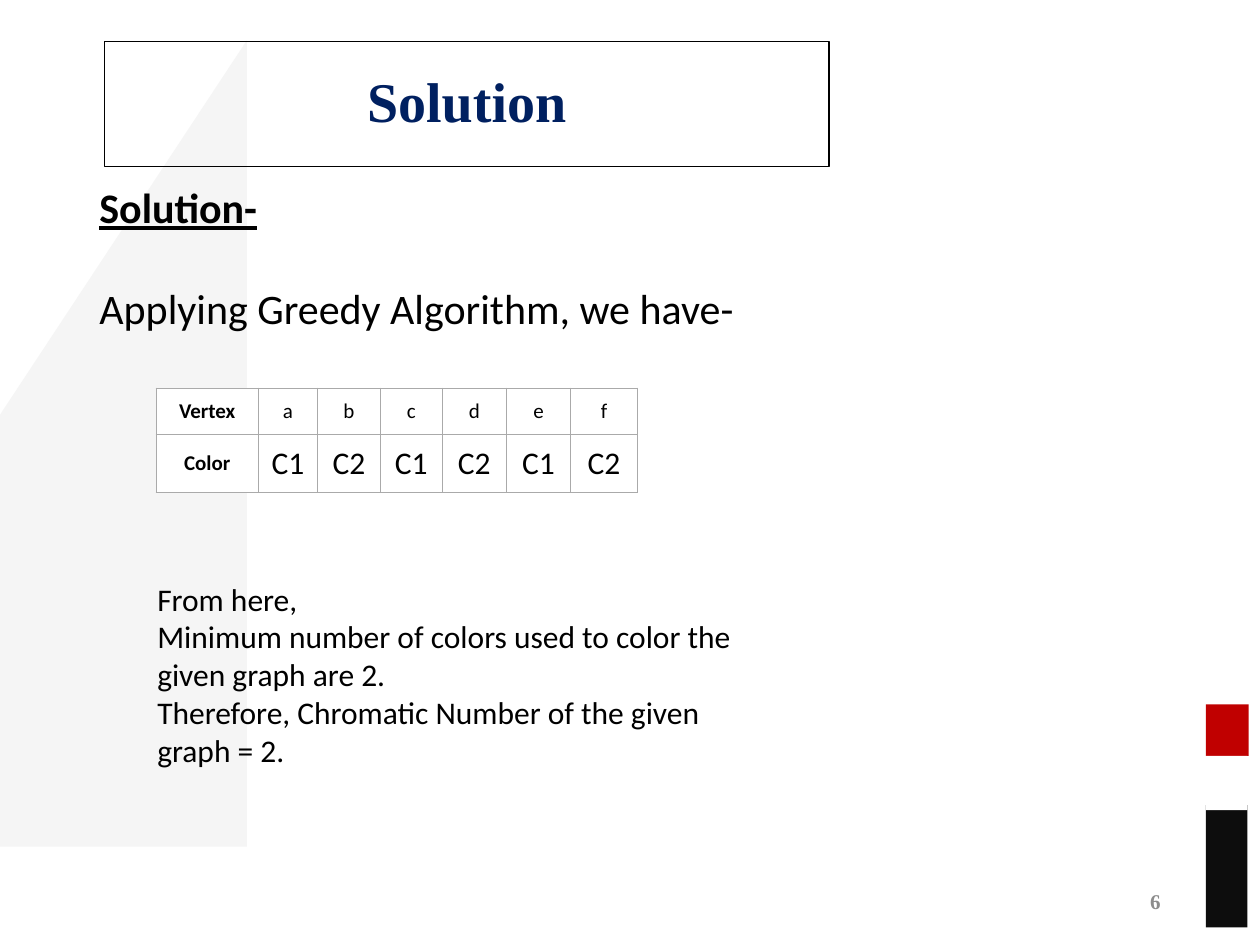
from lxml import etree
from pptx import Presentation
from pptx.dml.color import RGBColor
from pptx.enum import shapes, text
from pptx.oxml import ns
from pptx.util import Inches, Pt

SERIF = "Times New Roman"
SANS = "Calibri"
VERTEX_COLORS = [
    ["Vertex", "a", "b", "c", "d", "e", "f"],
    ["Color", "C1", "C2", "C1", "C2", "C1", "C2"],
]
COLUMN_WIDTHS = [0.81, 0.47, 0.5, 0.49, 0.51, 0.51, 0.53]
ROW_HEIGHTS = [0.37, 0.46]


def color(value):
    return RGBColor.from_string(value)


def box(left, top, width, height):
    return [Inches(length) for length in (left, top, width, height)]


def child(parent, tag, **attributes):
    return etree.SubElement(parent, ns.qn(tag), attributes)


def style(paragraph, size, name=SANS, hue="000000", bold=False, align=None):
    font = paragraph.font
    font.size, font.name, font.bold = Pt(size), name, bold
    font.color.rgb = color(hue)
    paragraph.alignment = align


def add_block(slide, preset, place, hue):
    block = slide.shapes.add_shape(preset, *box(*place))
    block.shadow.inherit = False
    block.fill.solid()
    block.fill.fore_color.rgb = color(hue)
    block.line.fill.background()
    return block


def add_backdrop(slide):
    triangle = add_block(slide, shapes.MSO_SHAPE.RIGHT_TRIANGLE,
                         (-2.26, 0.32, 4.22, 6.4), "D9D9D9")
    properties = triangle.element.spPr
    properties.find(ns.qn("a:xfrm")).set("flipH", "1")
    child(properties.find(".//" + ns.qn("a:srgbClr")), "a:alpha", val="26000")
    for place, hue in [
        ((9.57, 5.59, 0.34, 0.41), "C00000"),
        ((9.57, 6.39, 0.33, 0.97), "0D0D0D"),
        ((9.57, 6, 0.33, 0.43), "FFFFFF"),
    ]:
        add_block(slide, shapes.MSO_SHAPE.RECTANGLE, place, hue)


def set_title(slide, words):
    title = slide.shapes.title
    slide.shapes.element.append(title.element)
    title.left, title.top, title.width, title.height = box(0.83, 0.33, 5.75, 0.99)
    title.line.color.rgb = color("000000")
    title.line.width = Pt(0.75)
    frame = title.text_frame
    frame.text = words
    frame.vertical_anchor = text.MSO_ANCHOR.MIDDLE
    heading = frame.paragraphs[0]
    heading.line_spacing = 0.9
    style(heading, 32, SERIF, "002060", True, text.PP_ALIGN.CENTER)


def add_text(slide, place, lines, size, wrap=True, **look):
    frame = slide.shapes.add_textbox(*box(*place)).text_frame
    frame.word_wrap = wrap
    frame.text = "\n".join(lines)
    for paragraph in frame.paragraphs:
        style(paragraph, size, **look)
    return frame


def set_borders(cell, hue, width):
    properties = cell._tc.get_or_add_tcPr()
    for position, side in enumerate(("a:lnL", "a:lnR", "a:lnT", "a:lnB")):
        border = etree.Element(ns.qn(side), w=str(Pt(width)))
        child(child(border, "a:solidFill"), "a:srgbClr", val=hue)
        properties.insert(position, border)


def fill_cell(cell, words, size, bold):
    cell.text = words
    cell.vertical_anchor = text.MSO_ANCHOR.MIDDLE
    cell.margin_left = cell.margin_right = Inches(0.08)
    cell.margin_top = cell.margin_bottom = Inches(0.08)
    cell.fill.solid()
    cell.fill.fore_color.rgb = color("FFFFFF")
    style(cell.text_frame.paragraphs[0], size, bold=bold,
          align=text.PP_ALIGN.CENTER)
    set_borders(cell, "AAAAAA", 0.75)


def add_coloring_table(slide):
    place = box(1.24, 3.08, sum(COLUMN_WIDTHS), sum(ROW_HEIGHTS))
    table = slide.shapes.add_table(
        len(VERTEX_COLORS), len(COLUMN_WIDTHS), *place).table
    for column, width in zip(table.columns, COLUMN_WIDTHS):
        column.width = Inches(width)
    for r, entries in enumerate(VERTEX_COLORS):
        table.rows[r].height = Inches(ROW_HEIGHTS[r])
        for c, entry in enumerate(entries):
            size = 18 if r and c else 12
            fill_cell(table.cell(r, c), entry, size, bold=c == 0)


def main():
    deck = Presentation()
    deck.slide_width, deck.slide_height = Inches(10), Inches(7.5)
    slide = deck.slides.add_slide(deck.slide_layouts[5])

    add_backdrop(slide)
    number = add_text(slide, (7.06, 6.95, 2.25, 0.4), ["6"], 12, name=SERIF,
                      hue="8C8C8C", bold=True, align=text.PP_ALIGN.RIGHT)
    number.vertical_anchor = text.MSO_ANCHOR.MIDDLE
    set_title(slide, "Solution")

    intro = add_text(slide, (0.69, 1.39, 5.28, 1.31),
                     ["Solution-", "Applying Greedy Algorithm, we have-"],
                     24, wrap=False)
    label, method = intro.paragraphs
    label.font.bold = label.font.underline = True
    method.space_before = Pt(29)

    add_coloring_table(slide)
    add_text(slide, (1.15, 4.55, 5, 1.62), [
        "From here,",
        "Minimum number of colors used to color the given graph are 2.",
        "Therefore, Chromatic Number of the given graph = 2.",
    ], 18)
    deck.save("out.pptx")


if __name__ == "__main__":
    main()
